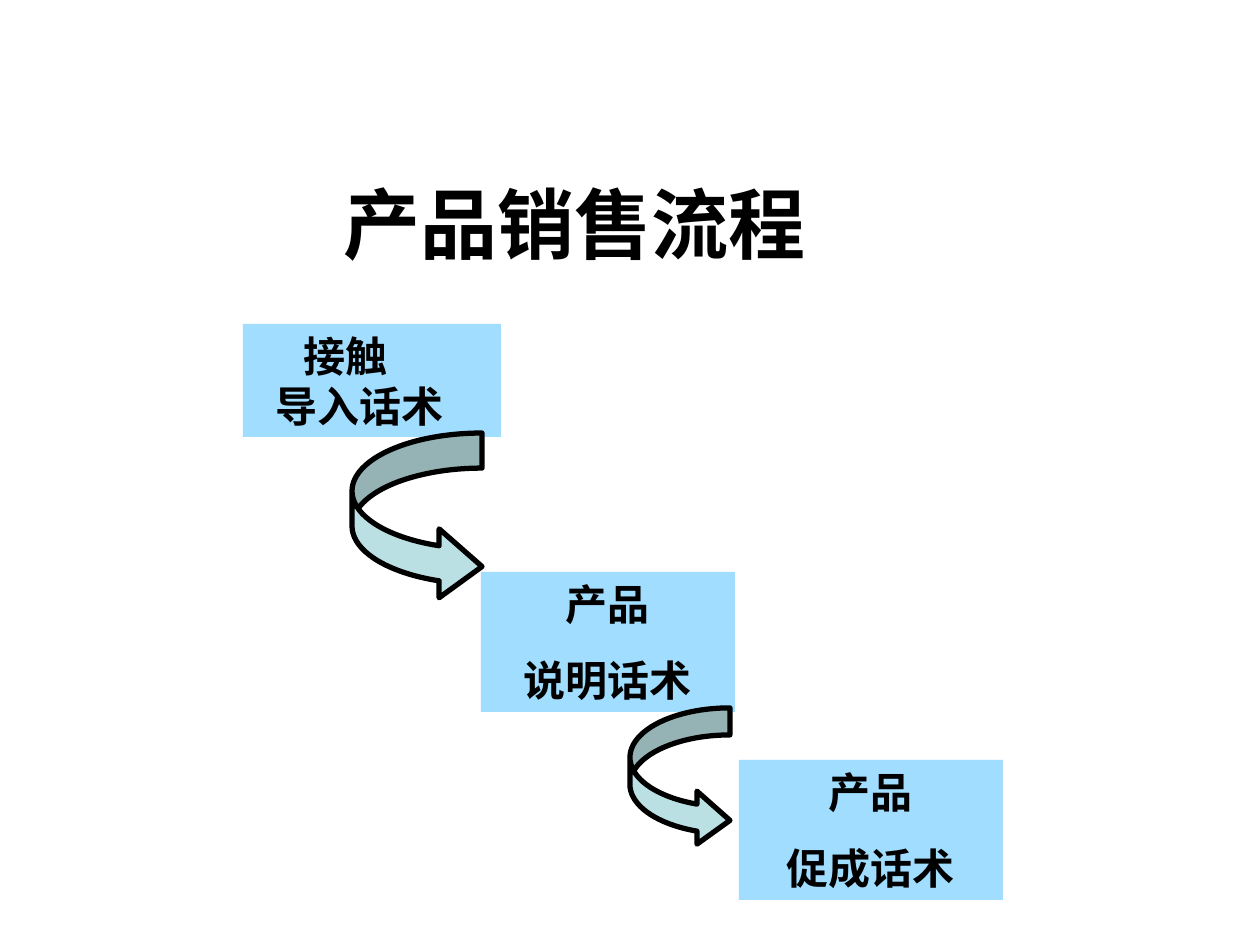
"""Build the product sales process slide."""
from dataclasses import dataclass

from pptx import Presentation
from pptx.dml.color import RGBColor
from pptx.enum.shapes import MSO_SHAPE
from pptx.enum.text import MSO_ANCHOR, PP_ALIGN
from pptx.util import Pt

PX = 914400 // 126
RECTANGLE = MSO_SHAPE.RECTANGLE
CURVED_ARROW = MSO_SHAPE.CURVED_RIGHT_ARROW
TOP, MIDDLE = MSO_ANCHOR.TOP, MSO_ANCHOR.MIDDLE
LEFT, CENTER = PP_ALIGN.LEFT, PP_ALIGN.CENTER
TITLE_ONLY = 5
BLACK, SKY, TEAL = "000000", "A1DDFF", "BBE0E3"


@dataclass
class Area:
    left: int
    top: int
    width: int
    height: int

    def emu(self) -> list[int]:
        return [side * PX for side in (self.left, self.top, self.width, self.height)]


@dataclass
class Step:
    area: Area
    lines: tuple[str, ...]
    align: PP_ALIGN = CENTER
    space: int = 15
    indents: tuple[int, ...] = (0, 0)


STEPS = (
    Step(Area(243, 324, 258, 113), ("接触", "导入话术"), LEFT, 0, (48, 20)),
    Step(Area(481, 572, 254, 140), ("产品", "说明话术")),
    Step(Area(739, 760, 264, 140), ("产品", "促成话术")),
)
ARROWS = (Area(352, 433, 130, 168), Area(630, 708, 100, 139))
ARROW_ADJUSTMENTS = (0.27, 0.53, 0.33)


def color(value: str) -> RGBColor:
    return RGBColor.from_string(value)


def add_text(para, text: str, size: int) -> None:
    span = para.add_run()
    span.text = text
    span.font.name = "Arial"
    span.font.size = Pt(size)
    span.font.bold = True
    span.font.color.rgb = color(BLACK)


def add_title(page, text: str, area: Area) -> None:
    title = page.shapes.title
    title.left, title.top, title.width, title.height = area.emu()
    title.text_frame.vertical_anchor = MIDDLE
    para = title.text_frame.paragraphs[0]
    para.alignment = CENTER
    add_text(para, text, 44)


def add_shape(page, kind: MSO_SHAPE, area: Area, fill: str):
    shape = page.shapes.add_shape(kind, *area.emu())
    shape.shadow.inherit = False
    shape.fill.solid()
    shape.fill.fore_color.rgb = color(fill)
    return shape


def add_step(page, step: Step) -> None:
    box = add_shape(page, RECTANGLE, step.area, SKY)
    box.line.fill.background()
    frame = box.text_frame
    frame.word_wrap = True
    frame.vertical_anchor = TOP
    for index, (text, indent) in enumerate(zip(step.lines, step.indents)):
        para = frame.add_paragraph() if index else frame.paragraphs[0]
        para.alignment = step.align
        para.space_before = Pt(step.space if index else 0)
        if indent:
            para._p.get_or_add_pPr().set("marL", str(indent * PX))
        add_text(para, text, 24)


def add_arrow(page, area: Area) -> None:
    arrow = add_shape(page, CURVED_ARROW, area, TEAL)
    arrow.line.color.rgb = color(BLACK)
    arrow.line.width = Pt(3)
    for index, value in enumerate(ARROW_ADJUSTMENTS):
        arrow.adjustments[index] = value


def main() -> None:
    deck = Presentation()
    deck.slide_width, deck.slide_height = 1260 * PX, 945 * PX
    page = deck.slides.add_slide(deck.slide_layouts[TITLE_ONLY])
    add_title(page, "产品销售流程", Area(64, 165, 1022, 115))
    for step in STEPS:
        add_step(page, step)
    for area in ARROWS:
        add_arrow(page, area)
    deck.save("out.pptx")


if __name__ == "__main__":
    main()
